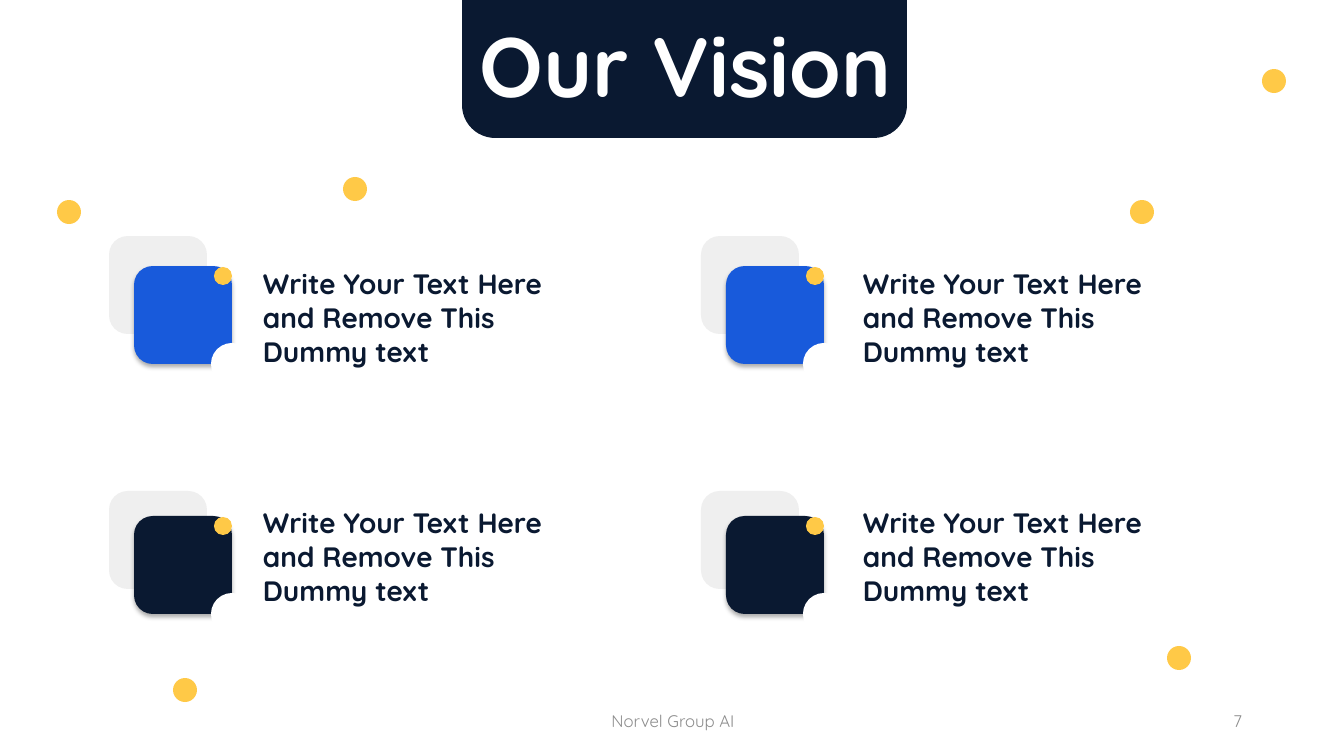
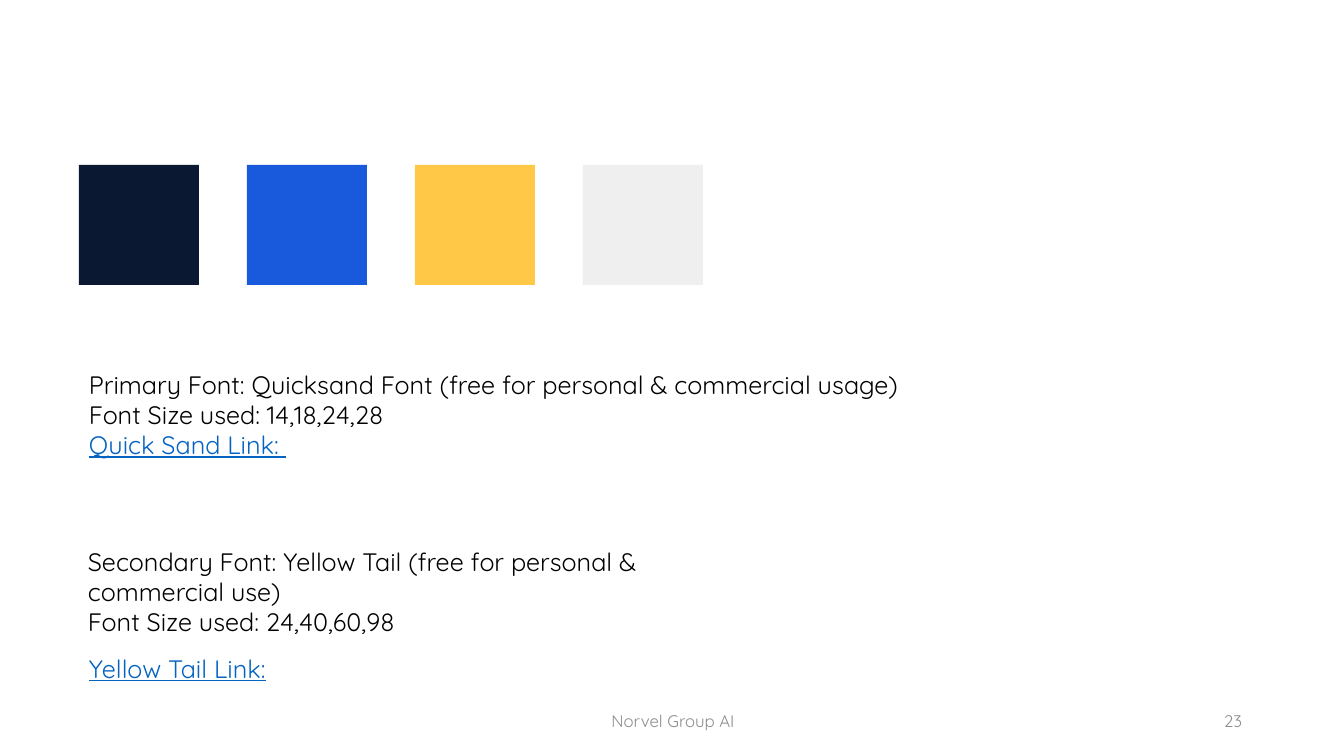
from lxml.etree import SubElement
from pptx import Presentation
from pptx.dml.color import RGBColor as Rgb
from pptx.enum.shapes import MSO_SHAPE as Geo
from pptx.enum.text import MSO_ANCHOR as Anchor, MSO_AUTO_SIZE as Fit, PP_ALIGN as Align
from pptx.oxml.ns import qn
from pptx.util import Pt

NAVY = Rgb(0x0A, 0x19, 0x31)
BLUE = Rgb(0x18, 0x5A, 0xDB)
GOLD = Rgb(0xFF, 0xC9, 0x47)
PALE = Rgb(0xEF, 0xEF, 0xEF)
WHITE = Rgb(0xFF, 0xFF, 0xFF)
BLACK = Rgb(0, 0, 0)
GREY = Rgb(0x8C, 0x8C, 0x8C)
LINK = Rgb(0x05, 0x63, 0xC1)

WIDE, HIGH = 1344, 756
FACE = "Quicksand"
HEAD = {"name": FACE, "size": Pt(60), "bold": True}
CARD = {"name": FACE, "size": Pt(20), "bold": True}
BODY = {"name": FACE, "size": Pt(18)}
URL = {**BODY, "underline": True}
FOOT = {"name": FACE, "size": Pt(12)}

DOTS = [(69, 212), (1142, 212), (185, 690), (1274, 81), (1179, 658), (355, 189)]
COLS = [(109, 253), (701, 853)]
ROWS = [(236, 30, 262, BLUE), (491, 25, 501, NAVY)]
DUMMY = "Write Your Text Here and Remove This Dummy text"


def px(num):
    """Turn px into EMU."""
    return round(num * 12192000 / WIDE)


def style(font, form, tint):
    """Set a font from a dict of format values and a colour."""
    for key, val in form.items():
        setattr(font, key, val)
    font.color.rgb = tint


def shape(shapes, geo, box, tint, bends=()):
    """Add a flat shape without outline."""
    item = shapes.add_shape(geo, *map(px, box))
    item.shadow.inherit = False
    item.fill.solid()
    item.fill.fore_color.rgb = tint
    item.line.fill.background()
    for num, bend in enumerate(bends):
        item.adjustments[num] = bend
    return item


def disc(shapes, mid, size, tint):
    """Add a circle around a centre."""
    x, y = mid
    return shape(shapes, Geo.OVAL, (x - size / 2, y - size / 2, size, size), tint)


def shade(item):
    """Give a shape a soft shadow below."""
    list_ = item._element.spPr.find(qn("a:effectLst"))
    cast = SubElement(list_, qn("a:outerShdw"), blurRad=str(Pt(3.5)), dist=str(Pt(2.2)),
                      dir="5400000", algn="t", rotWithShape="0")
    hue = SubElement(cast, qn("a:srgbClr"), val="000000")
    SubElement(hue, qn("a:alpha"), val="32000")


def text(slide, box, lines, side=Align.LEFT, anchor=Anchor.TOP):
    """Add a text box of lines, each with wording, format and colour."""
    frame = slide.shapes.add_textbox(*map(px, box)).text_frame
    frame.word_wrap = True
    frame.vertical_anchor = anchor
    for num, (words, form, tint) in enumerate(lines):
        para = frame.add_paragraph() if num else frame.paragraphs[0]
        para.alignment = side
        run = para.add_run()
        run.text = words
        style(run.font, form, tint)


def footer(slide, page):
    """Add the centred name and the page number."""
    text(slide, (446, 701, 454, 40), [("Norvel Group AI", FOOT, GREY)],
         Align.CENTER, Anchor.MIDDLE)
    text(slide, (950, 701, 302, 40), [(page, FOOT, GREY)], Align.RIGHT, Anchor.MIDDLE)


def header(slide, words):
    """Set the title on a band that hangs from the top edge."""
    shape(slide.shapes, Geo.ROUND_2_SAME_RECTANGLE, (462, 0, 445, 138), NAVY, (0, 0.24))
    title = slide.shapes.title
    title.element.getparent().append(title.element)
    title.left, title.top, title.width, title.height = map(px, (467, 8, 437, 112))
    frame = title.text_frame
    frame.text = words
    frame.word_wrap = False
    frame.auto_size = Fit.NONE
    frame.vertical_anchor = Anchor.TOP
    para = frame.paragraphs[0]
    para.alignment = Align.CENTER
    style(para.runs[0].font, HEAD, WHITE)


def badge(slide, x, y, drop, tint, size=98):
    """Group a pale tile, a coloured tile, its notch and its dot."""
    parts = slide.shapes.add_group_shape().shapes
    shape(parts, Geo.ROUNDED_RECTANGLE, (x, y, size, size), PALE, (0.19,))
    x, y = x + 25, y + drop
    shade(shape(parts, Geo.ROUNDED_RECTANGLE, (x, y, size, size), tint, (0.19,)))
    disc(parts, (x + size, y + size), 42, WHITE)
    disc(parts, (x + size - 9, y + 10), 18, GOLD)


def vision(deck):
    """Build the slide of four cards."""
    slide = deck.slides.add_slide(deck.slide_layouts[5])
    for mid in DOTS:
        disc(slide.shapes, mid, 24, GOLD)
    header(slide, "Our Vision")
    for top, drop, line, tint in ROWS:
        for left, start in COLS:
            badge(slide, left, top, drop, tint)
            text(slide, (start, line, 350, 112), [(DUMMY, CARD, NAVY)])
    footer(slide, "7")


def guide(deck):
    """Build the slide of colours and fonts."""
    slide = deck.slides.add_slide(deck.slide_layouts[6])
    for num, tint in enumerate((NAVY, BLUE, GOLD, PALE)):
        shape(slide.shapes, Geo.RECTANGLE, (79 + 168 * num, 165, 120, 120), tint)
    text(slide, (79, 364, 1233, 132), [
        ("Primary Font: Quicksand Font (free for personal & commercial usage)", BODY, BLACK),
        ("Font Size used: 14,18,24,28", BODY, BLACK),
        ("Quick Sand Link: ", URL, LINK)])
    text(slide, (78, 541, 661, 102), [
        ("Secondary Font: Yellow Tail (free for personal & commercial use)", BODY, BLACK),
        ("Font Size used: 24,40,60,98", BODY, BLACK)])
    text(slide, (79, 648, 336, 40), [("Yellow Tail Link:", URL, LINK)])
    footer(slide, "23")


def main():
    """Build and save the deck."""
    deck = Presentation()
    deck.slide_width, deck.slide_height = px(WIDE), px(HIGH)
    vision(deck)
    guide(deck)
    deck.save("out.pptx")


if __name__ == "__main__":
    main()
